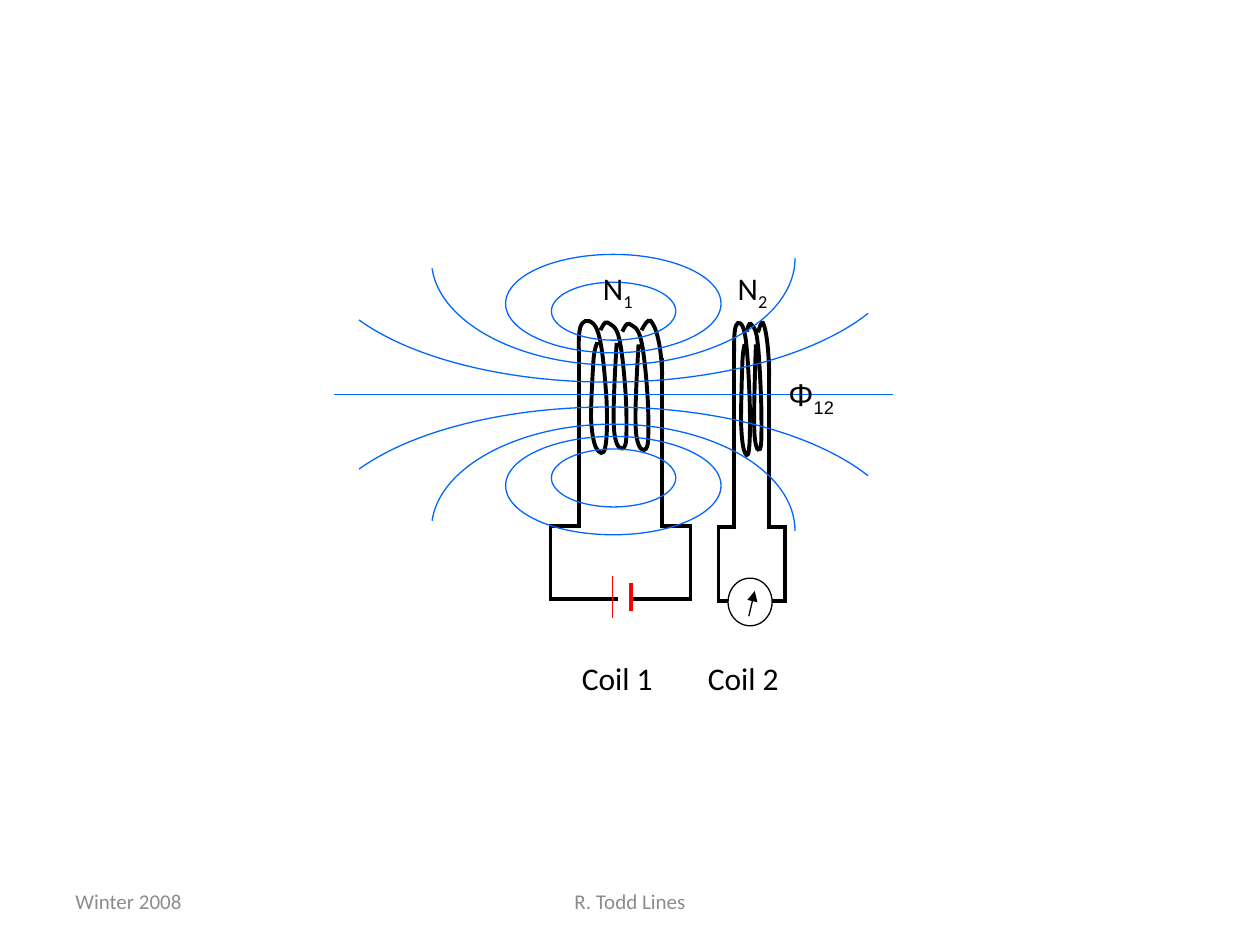
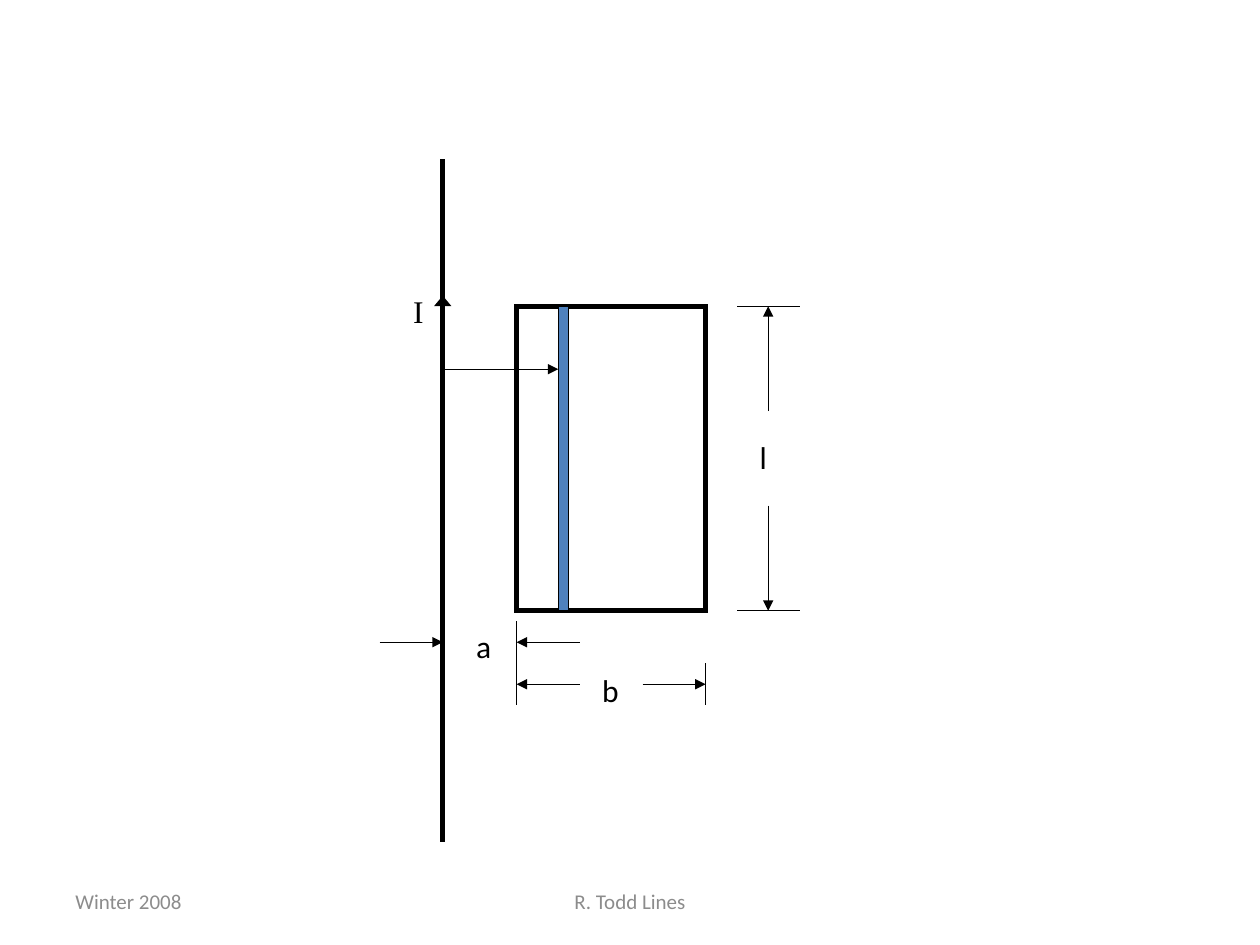
from lxml.etree import SubElement
from pptx import Presentation
from pptx.dml.color import RGBColor
from pptx.enum.shapes import MSO_CONNECTOR, MSO_SHAPE
from pptx.enum.text import MSO_ANCHOR, MSO_AUTO_SIZE, PP_ALIGN
from pptx.oxml.ns import qn
from pptx.util import Pt

COLORS = {"ink": "000000", "field": "0066FF", "cell": "FF0000",
          "strip": "4F81BD", "meter": "FFFFFF", "foot": "8C8C8C"}
THIN, COIL, WIRE = 0.75, 2.25, 3
FOOT = [("Winter 2008", 36, 168, PP_ALIGN.LEFT),
        ("R. Todd Lines", 246, 228, PP_ALIGN.CENTER)]

FIRST = [(0, .23), (0, .14), (0, .06), (.13, .03), (.22, 0), (.52, 0), (.66, .09),
         (.83, .19), (.91, .42), (.96, .56), (1, .69), (1, .88), (.92, .95),
         (.87, 1.01), (.7, .99), (.61, .95), (.52, .92), (.44, .82), (.43, .72),
         (.43, .62), (.48, .42), (.51, .32), (.53, .23), (.6, .2), (.65, .17)]
NEXT = [(0, .07), (.08, .04), (.15, 0), (.27, .01), (.4, .03), (.61, .03), (.72, .14),
        (.85, .25), (.95, .51), (.98, .64), (1, .77), (1, .86), (.98, .93),
        (.95, .99), (.86, 1), (.77, .99), (.67, .99), (.57, .94), (.53, .87),
        (.49, .8), (.5, .69), (.52, .57), (.54, .45), (.58, .31), (.62, .17)]
LAST = [(0, .2), (.17, .09), (.3, 0), (.44, .03), (.56, .07), (.7, .18), (.81, .36),
        (.92, .53), (.98, .76), (1, 1)]
TURNS = [(FIRST, 330.7, 182.4, 16.4, 77.4), (NEXT, 343.1, 183.6, 15, 73.2),
         (NEXT, 355.6, 184.4, 15, 73.2), (LAST, 366.6, 182.4, 11.8, 31.7),
         (FIRST, 419.5, 183.6, 9.2, 77.4), (NEXT, 426.7, 184.4, 8.5, 73.2),
         (LAST, 433.2, 183.6, 6.4, 31.7)]
LEADS = [(330.7, 198.7, 300.4, 314.6, 342.4, 353.3),
         (378.4, 204.5, 300.4, 394.6, 342.4, 359.5),
         (419.5, 199.4, 301.3, 410.6, 343.4, 432.7),
         (439.6, 205.2, 301.3, 448.6, 343.4, 428.4)]
CELL = [(343.4, 342, 352.8, 342, THIN, "ink"), (359.5, 342, 368.6, 342, THIN, "ink"),
        (350, 329, 350, 353.3, THIN, "cell"), (360.6, 333.2, 360.6, 349.4, COIL, "cell")]
METER = (416, 330.4, 25.2, 27.2)
NEEDLE = (427.9, 352.1, 431.3, 337.7)
AXIS = 225.5
LOOPS = [(315.1, 161.3, 71.1, 33.1), (288.9, 145.4, 123.1, 56.2)]
ARCS = [[(454.3, 147.6), (454.3, 181.4), (407.5, 208.6), (350.6, 208.6),
         (296.6, 208.6), (251.3, 184.3), (246.9, 153.4)],
        [(496.1, 179.1), (465.8, 203), (409.7, 218.4), (347.8, 218.4),
         (290.2, 218.4), (236.2, 205.2), (205.2, 182.9)]]
COILTEXT = [("N", "1", 337.5, 150.2, 33.8, "Calibri"), ("N", "2", 414.5, 150.2, 33.8, "Calibri"),
            ("Φ", "12", 443.5, 211, 40.3, "Arial"),
            ("Coil 1", "", 325.4, 373, 60.5, "Calibri"),
            ("Coil 2", "", 397.4, 373, 60.5, "Calibri")]

ROD, LEFT, RIGHT, TOP, BASE = 253, 295.2, 403.2, 175, 349
STRIP = 319
RULES = [(421.2, TOP, 457.2, TOP), (421.2, BASE, 457.2, BASE),
         (LEFT, 355, LEFT, 403), (RIGHT, 379, RIGHT, 403)]
CURRENT = (ROD, 223, ROD, 169)
ARROWS = [(439, 289, 439, BASE), (439, 235, 439, TOP),
          (ROD, 211, STRIP, 211), (ROD - 36, 367, ROD, 367), (LEFT + 36, 367, LEFT, 367),
          (RIGHT - 36, 391, RIGHT, 391), (LEFT + 36, 391, LEFT, 391)]
LOOPTEXT = [("I", "", 229, 163.4, 20.2, "Times New Roman"), ("l", "", 427, 247, 18.7, "Calibri"),
            ("a", "", 265, 355, 24.5, "Calibri"), ("b", "", 337, 379.8, 24.5, "Calibri")]


def paint(name):
    return RGBColor.from_string(COLORS[name])


def dress(shape, width, color, fill=None):
    shape.shadow.inherit = False
    shape.line.width = Pt(width)
    shape.line.color.rgb = paint(color)
    SubElement(shape.line._get_or_add_ln(), qn("a:miter"), lim="800000")
    if fill:
        shape.fill.solid()
        shape.fill.fore_color.rgb = paint(fill)
    else:
        shape.fill.background()


def line(slide, ends, width=THIN, color="ink", head=None):
    item = slide.shapes.add_connector(MSO_CONNECTOR.STRAIGHT, *map(Pt, ends))
    item.line.width = Pt(width)
    item.line.color.rgb = paint(color)
    if head:
        SubElement(item.line._get_or_add_ln(), qn("a:tailEnd"), type="triangle", w=head)
    SubElement(item._element.spPr, qn("a:effectLst"))


def form(slide, kind, box, width, color, fill=None):
    dress(slide.shapes.add_shape(kind, *map(Pt, box)), width, color, fill)


def trace(slide, dots, width, color):
    dots = [(Pt(x), Pt(y)) for x, y in dots]
    pen = slide.shapes.build_freeform(*dots[0])
    pen.add_line_segments(dots[1:], close=False)
    shape = pen.convert_to_shape()
    dress(shape, width, color)
    return shape


def curve(slide, knots, width, color):
    shape = trace(slide, knots, width, color)
    route = next(shape._element.iter(qn("a:path")))
    legs = route.findall(qn("a:lnTo"))
    for i in range(0, len(legs), 3):
        bend = SubElement(route, qn("a:cubicBezTo"))
        for leg in legs[i:i + 3]:
            bend.append(leg[0])
            route.remove(leg)


def write(slide, box, words, font, size, color):
    frame = slide.shapes.add_textbox(*map(Pt, box)).text_frame
    for word in words:
        run = frame.paragraphs[0].add_run()
        run.text = word
        run.font.name = font
        run.font.size = Pt(size)
        run.font.color.rgb = paint(color)
    return frame


def label(slide, text, sub, x, y, wide, font):
    words = [text, sub] if sub else [text]
    frame = write(slide, (x, y, wide, 29), words, font, 18, "ink")
    frame.word_wrap = False
    frame.auto_size = MSO_AUTO_SIZE.SHAPE_TO_FIT_TEXT
    if sub:
        frame.paragraphs[0].runs[1]._r.get_or_add_rPr().set("baseline", "-25000")


def page(deck):
    slide = deck.slides.add_slide(deck.slide_layouts[6])
    for text, x, wide, align in FOOT:
        frame = write(slide, (x, 500.4, wide, 28.8), [text], "Calibri", 12, "foot")
        frame.word_wrap = True
        frame.vertical_anchor = MSO_ANCHOR.MIDDLE
        frame.paragraphs[0].alignment = align
    return slide


def coils(deck):
    slide = page(deck)
    for knots, x, y, wide, high in TURNS:
        curve(slide, [(x + a * wide, y + b * high) for a, b in knots], COIL, "ink")
    for x, top, knee, side, foot, end in LEADS:
        trace(slide, [(x, top), (x, knee), (side, knee), (side, foot), (end, foot)], COIL, "ink")
    for *ends, width, color in CELL:
        line(slide, ends, width, color)
    form(slide, MSO_SHAPE.OVAL, METER, THIN, "ink", "meter")
    line(slide, NEEDLE, head="med")
    line(slide, (190.8, AXIS, 510.5, AXIS), THIN, "field")
    for x, y, wide, high in LOOPS:
        for top in (y, 2 * AXIS - y - high):
            form(slide, MSO_SHAPE.OVAL, (x, top, wide, high), THIN, "field")
    for knots in ARCS:
        for arc in (knots, [(x, 2 * AXIS - y) for x, y in knots]):
            curve(slide, arc, THIN, "field")
    for item in COILTEXT:
        label(slide, *item)


def loop(deck):
    slide = page(deck)
    line(slide, (ROD, 481, ROD, 90.7), WIRE)
    line(slide, CURRENT, head="lg")
    form(slide, MSO_SHAPE.RECTANGLE, (LEFT, TOP, RIGHT - LEFT, BASE - TOP), WIRE, "ink")
    for ends in RULES:
        line(slide, ends)
    for ends in ARROWS:
        line(slide, ends, head="med")
    form(slide, MSO_SHAPE.RECTANGLE, (STRIP, TOP, 6, BASE - TOP), THIN, "ink", "strip")
    for item in LOOPTEXT:
        label(slide, *item)


def main():
    deck = Presentation()
    deck.slide_width, deck.slide_height = Pt(720), Pt(540)
    coils(deck)
    loop(deck)
    deck.save("out.pptx")


if __name__ == "__main__":
    main()
